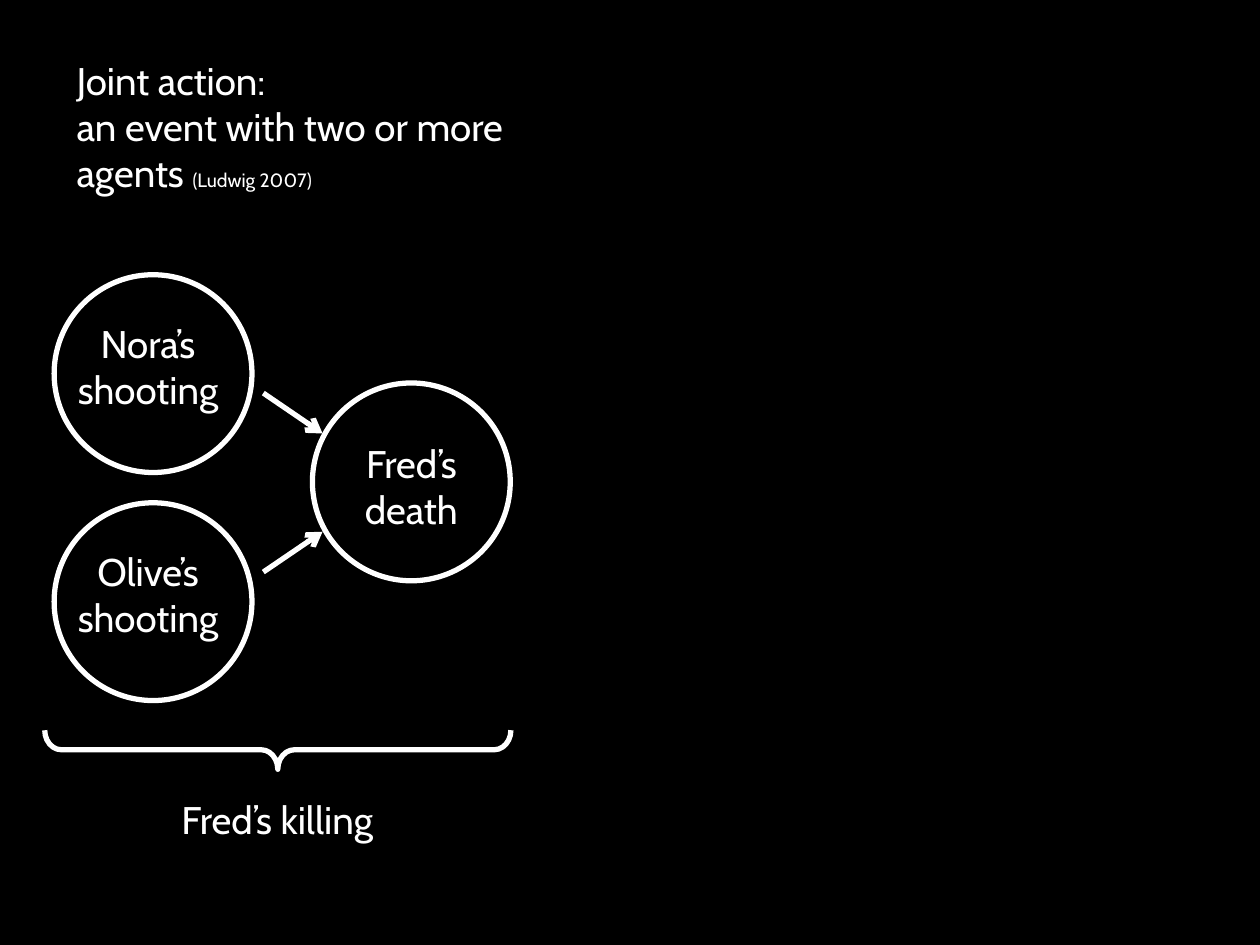
from lxml.etree import SubElement
from pptx import Presentation
from pptx.dml.color import RGBColor
from pptx.enum.shapes import MSO_CONNECTOR, MSO_SHAPE
from pptx.enum.text import PP_ALIGN
from pptx.oxml.ns import qn
from pptx.util import Inches, Pt

SLIDE_WIDTH = Inches(10)
SLIDE_HEIGHT = Inches(7.5)
FONT = "Cabin"
WHITE = "FFFFFF"
BLACK = "000000"
CIRCLE_WIDTH = 15.7
CIRCLE_HEIGHT = 20.93
LABEL_HEIGHT = 11.2


def color(hex_value):
    return RGBColor.from_string(hex_value)


def across(percent):
    return round(SLIDE_WIDTH * percent / 100)


def down(percent):
    return round(SLIDE_HEIGHT * percent / 100)


def frame(left, top, width, height):
    return across(left), down(top), across(width), down(height)


def style_line(line):
    line.color.rgb = color(WHITE)
    line.width = Pt(3)


def add_outline(slide, kind, box):
    shape = slide.shapes.add_shape(kind, *frame(*box))
    shape.shadow.inherit = False
    shape.fill.background()
    style_line(shape.line)
    return shape


def style_run(run, size=22):
    run.font.name = FONT
    run.font.size = Pt(size)
    run.font.color.rgb = color(WHITE)


def add_text(slide, text, box, alignment=PP_ALIGN.CENTER):
    text_frame = slide.shapes.add_textbox(*frame(*box)).text_frame
    text_frame.word_wrap = True
    text_frame.text = text
    for paragraph in text_frame.paragraphs:
        paragraph.alignment = alignment
        for run in paragraph.runs:
            style_run(run)
    return text_frame


def add_event(slide, text, left, top, label_shift, label_drop):
    label_box = (left + label_shift, top + label_drop, CIRCLE_WIDTH, LABEL_HEIGHT)
    add_text(slide, text, label_box)
    add_outline(slide, MSO_SHAPE.OVAL, (left, top, CIRCLE_WIDTH, CIRCLE_HEIGHT))


def add_arrow(slide, start, end):
    connector = slide.shapes.add_connector(
        MSO_CONNECTOR.STRAIGHT,
        across(start[0]), down(start[1]), across(end[0]), down(end[1]),
    )
    style_line(connector.line)
    properties = connector.line._get_or_add_ln()
    SubElement(properties, qn("a:tailEnd"), type="arrow")
    SubElement(connector._element.spPr, qn("a:effectLst"))


def add_brace(slide, box):
    brace = add_outline(slide, MSO_SHAPE.LEFT_BRACE, box)
    brace.adjustments[0] = 0.425
    brace.adjustments[1] = 0.5
    brace.rotation = 270


def add_definition(slide):
    text = "Joint action:\nan event with two or more agents "
    text_frame = add_text(slide, text, (5.1, 5.33, 39.4, 16.13), PP_ALIGN.LEFT)
    citation = text_frame.paragraphs[-1].add_run()
    citation.text = "(Ludwig 2007)"
    style_run(citation, 11)


def main():
    presentation = Presentation()
    presentation.slide_width = SLIDE_WIDTH
    presentation.slide_height = SLIDE_HEIGHT
    slide = presentation.slides.add_slide(presentation.slide_layouts[6])
    slide.background.fill.solid()
    slide.background.fill.fore_color.rgb = color(BLACK)

    for row, agent in enumerate(("Nora", "Olive")):
        add_event(slide, f"{agent}’s shooting", 4.3, 29.07 + 24.13 * row, -0.4, 4.13)
    add_event(slide, "Fred’s death", 24.8, 40.53, 0, 5.33)

    middle = 51.07
    for side in (-1, 1):
        add_arrow(slide, (20.9, middle + side * 9.47), (25.6, middle + side * 5.2))

    add_brace(slide, (20.5, 54.67, 3.1, 49.33))
    add_text(slide, "Fred’s killing", (4.7, 83.6, 34.6, 6.27))
    add_definition(slide)
    presentation.save("out.pptx")


if __name__ == "__main__":
    main()
